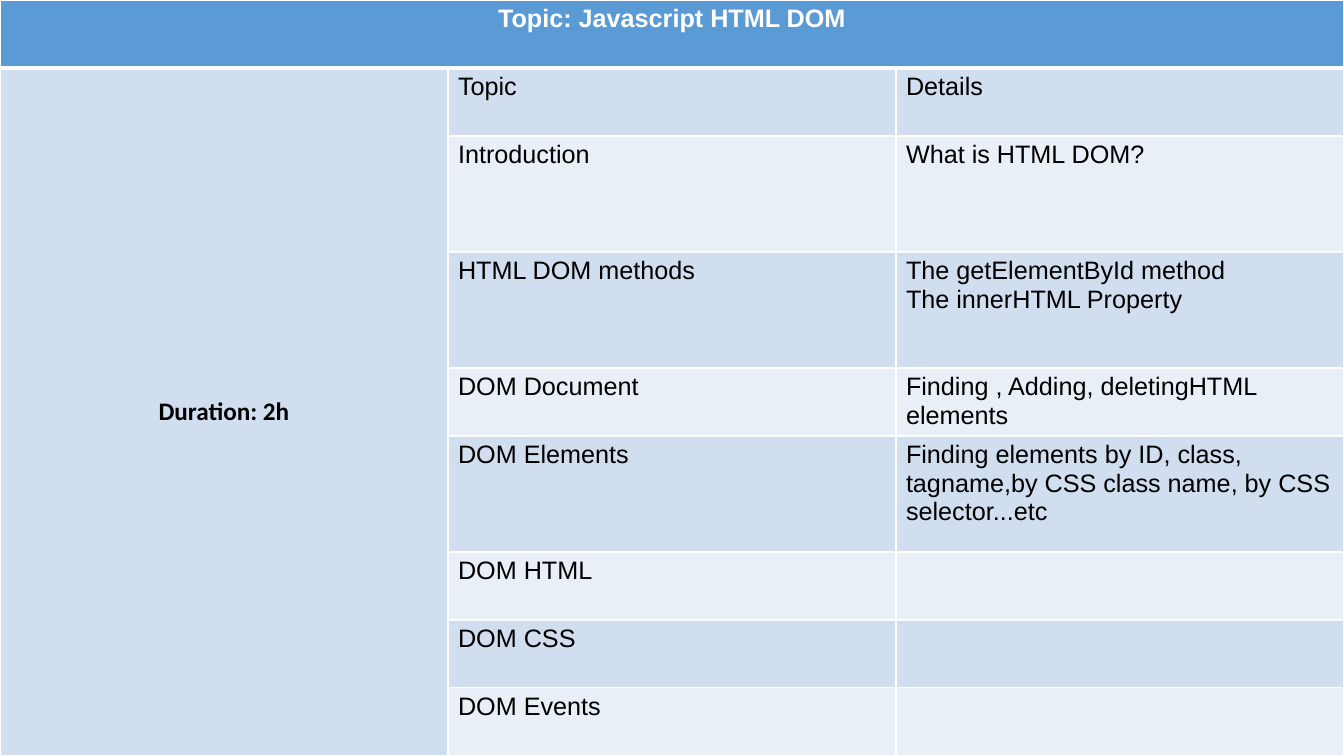
from dataclasses import dataclass

from lxml.etree import SubElement
from pptx import Presentation
from pptx.dml.color import RGBColor
from pptx.enum.text import MSO_ANCHOR, PP_ALIGN
from pptx.oxml.ns import qn
from pptx.util import Pt

SLIDE_W, SLIDE_H = 1344, 756
EMU_PER_PX = 12192000 / SLIDE_W


@dataclass(frozen=True)
class Theme:
    header: str = "5B9BD5"
    bands: tuple = ("E9EFF7", "D0DEEF")
    white: str = "FFFFFF"
    black: str = "000000"
    body_font: str = "Arial"
    duration_font: str = "Calibri"
    size: int = 18
    thin: int = 1
    thick: int = 3


THEME = Theme()
HEADING = "Topic: Javascript HTML DOM"
DURATION = "Duration: 2h"
SHORT, TALL = 68, 116
AGENDA = [
    ("Topic", "Details", SHORT),
    ("Introduction", "What is HTML DOM?", TALL),
    ("HTML DOM methods", "The getElementById method\nThe innerHTML Property", TALL),
    ("DOM Document", "Finding , Adding, deletingHTML elements", SHORT),
    ("DOM Elements", "Finding elements by ID, class, tagname,by CSS class name, "
                     "by CSS selector...etc", TALL),
    ("DOM HTML", "", SHORT),
    ("DOM CSS", "", SHORT),
    ("DOM Events", "", SHORT),
]


def px(n):
    return round(n * EMU_PER_PX)


def set_borders(cell, top, bottom):
    tcPr = cell._tc.get_or_add_tcPr()
    widths = {"lnL": THEME.thin, "lnR": THEME.thin, "lnT": top, "lnB": bottom}
    for tag, width in widths.items():
        ln = SubElement(tcPr, qn(f"a:{tag}"), w=str(Pt(width)))
        fill = SubElement(ln, qn("a:solidFill"))
        SubElement(fill, qn("a:srgbClr"), val=THEME.white)


def write(cell, text, color=THEME.black, align=PP_ALIGN.LEFT, **font):
    cell.text = text
    values = {"name": THEME.body_font, "size": Pt(THEME.size), "bold": False, **font}
    for p in cell.text_frame.paragraphs:
        p.alignment = align
        for name, value in values.items():
            setattr(p.font, name, value)
        for r in p.runs:
            for name, value in values.items():
                setattr(r.font, name, value)
            r.font.color.rgb = RGBColor.from_string(color)


def add_agenda(s, left, top, width, height):
    n_rows, n_cols = len(AGENDA) + 1, 3
    tbl = s.shapes.add_table(n_rows, n_cols, px(left), px(top), px(width), px(height)).table
    for col in tbl.columns:
        col.width = px(width / n_cols)
    for row, h in zip(tbl.rows, [SHORT] + [h for _, _, h in AGENDA]):
        row.height = px(h)

    for i, row in enumerate(tbl.rows):
        for j, cell in enumerate(row.cells):
            set_borders(cell, THEME.thick if i == 1 else THEME.thin,
                        THEME.thick if i == 0 else THEME.thin)
            band = THEME.bands[1 if j == 0 else i % 2]
            cell.fill.solid()
            cell.fill.fore_color.rgb = RGBColor.from_string(band if i else THEME.header)

    heading, duration = tbl.cell(0, 0), tbl.cell(1, 0)
    heading.merge(tbl.cell(0, n_cols - 1))
    duration.merge(tbl.cell(n_rows - 1, 0))
    write(heading, HEADING, THEME.white, PP_ALIGN.CENTER, bold=True)
    write(duration, DURATION, align=PP_ALIGN.CENTER, bold=True, name=THEME.duration_font)
    duration.vertical_anchor = MSO_ANCHOR.MIDDLE
    for i, (topic, details, _) in enumerate(AGENDA, 1):
        write(tbl.cell(i, 1), topic)
        write(tbl.cell(i, 2), details)


def main():
    prs = Presentation()
    prs.slide_width, prs.slide_height = px(SLIDE_W), px(SLIDE_H)
    s = prs.slides.add_slide(prs.slide_layouts[6])
    add_agenda(s, 0, 0, SLIDE_W, SLIDE_H)
    prs.save("out.pptx")


if __name__ == "__main__":
    main()
